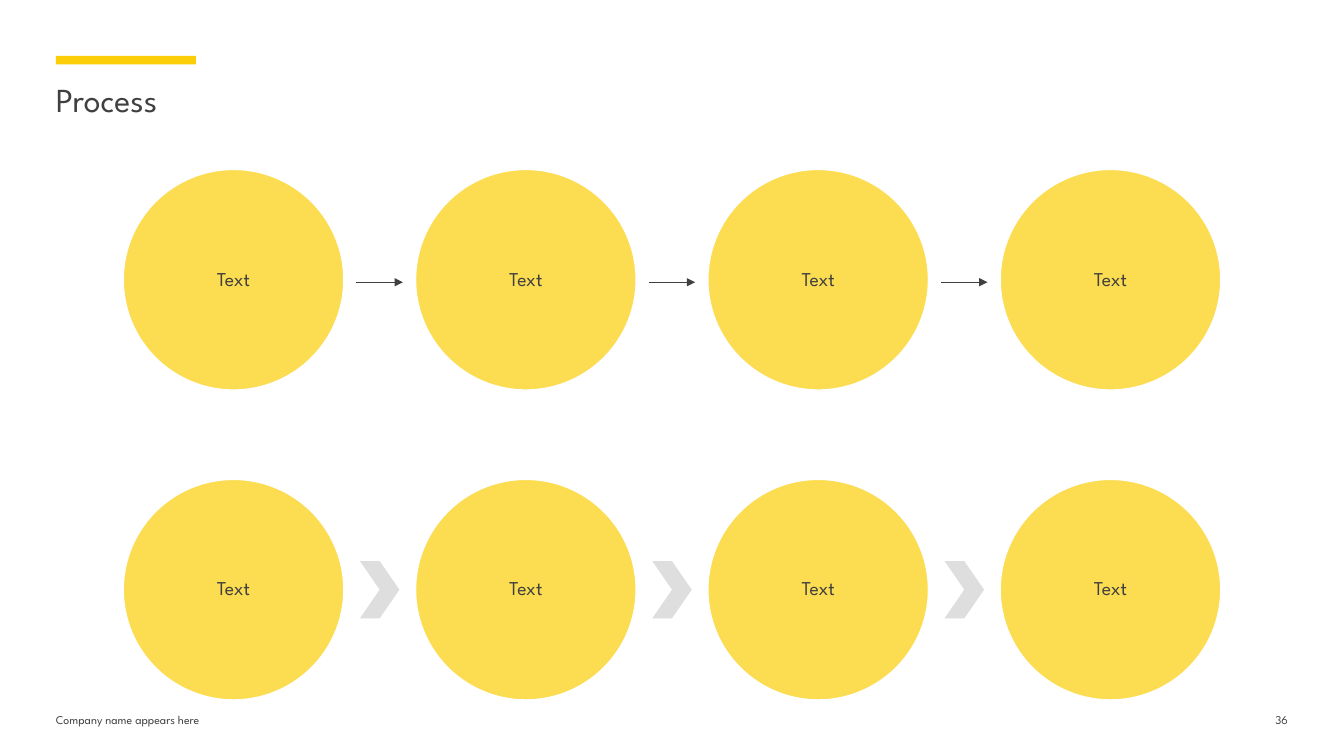
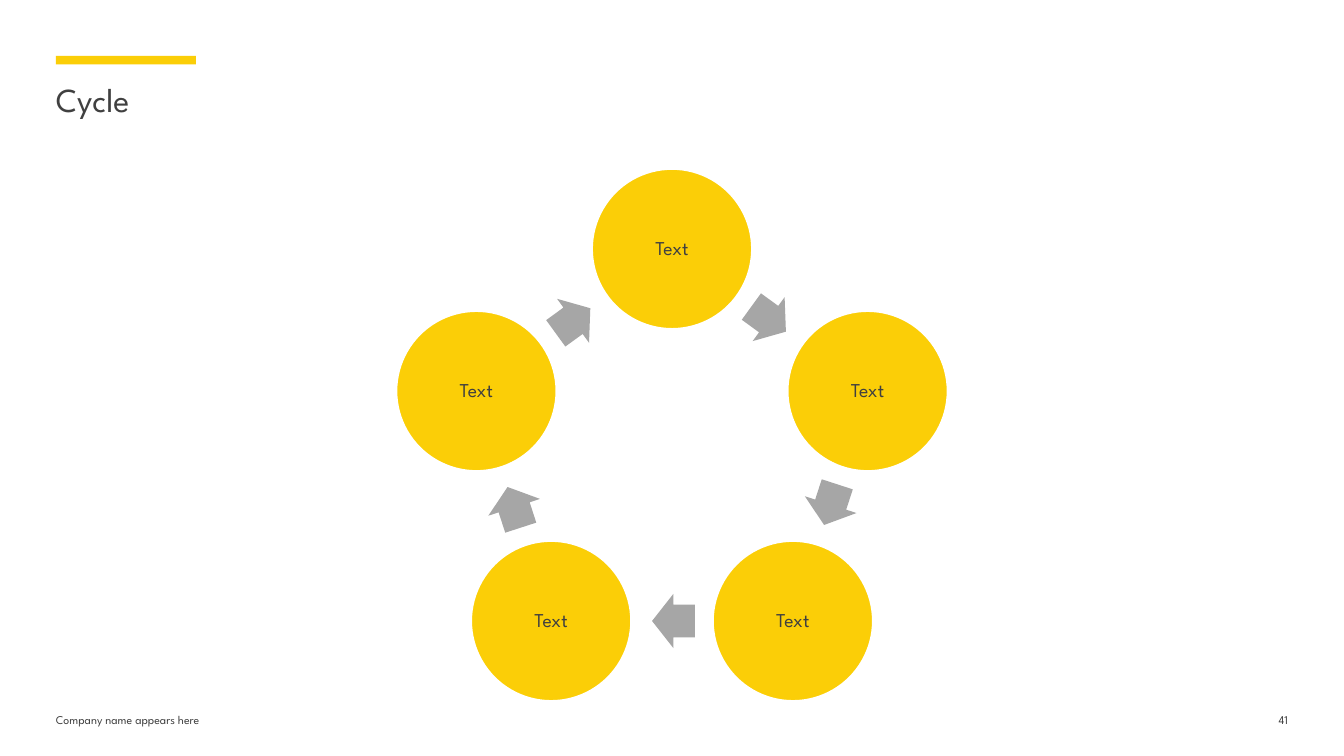
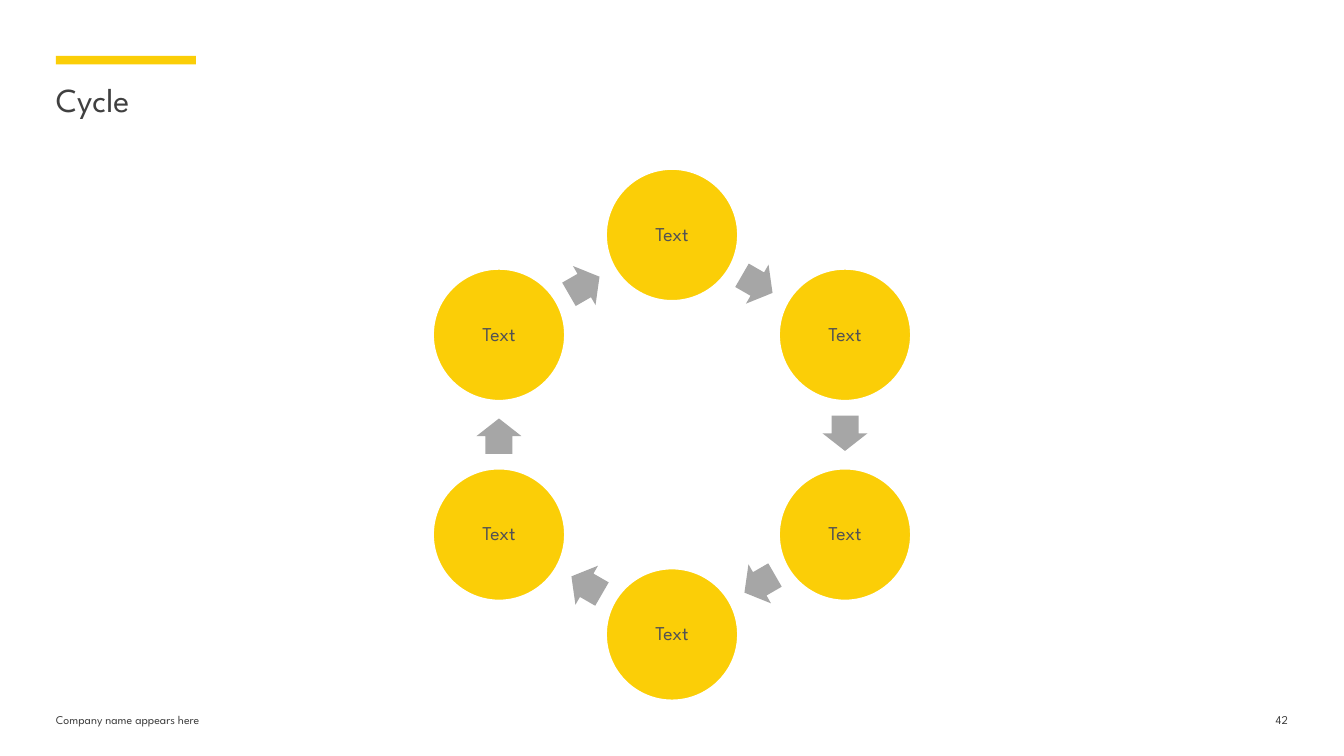
"""Build a process slide and two cycle slides."""
import math
from dataclasses import dataclass

from lxml import etree
from pptx import Presentation
from pptx import util as u
from pptx.dml.color import RGBColor
from pptx.enum import shapes, text
from pptx.oxml import ns

YELLOW = RGBColor(0xFB, 0xCE, 0x07)
DARK = RGBColor(0x40, 0x40, 0x40)
SOFT_DARK = RGBColor(0x53, 0x53, 0x53)
GREY = RGBColor(0xA6, 0xA6, 0xA6)
LIGHT_GREY = RGBColor(0xDE, 0xDE, 0xDE)
WHITE = RGBColor(0xFF, 0xFF, 0xFF)
FONT = "League Spartan"
SLIDE_WIDTH, SLIDE_HEIGHT = 960, 540
MARGIN = 40
STEP_COUNT, STEP_PITCH, STEP_DIAMETER = 4, 208.8, 158.6
FIRST_STEP_X = SLIDE_WIDTH / 2 - STEP_PITCH * (STEP_COUNT - 1) / 2
ARROW_ROW_Y, CHEVRON_ROW_Y = 199.8, 421.2
ARROW_DROP, ARROW_HALF_LENGTH = 1.8, 16.6
CYCLE_ARROW_LAG = 1


@dataclass(frozen=True)
class Box:
    left: float
    top: float
    width: float
    height: float

    @classmethod
    def centred(cls, x: float, y: float, width: float, height: float) -> "Box":
        return cls(x - width / 2, y - height / 2, width, height)

    def lengths(self) -> tuple:
        return tuple(u.Pt(value) for value in (self.left, self.top, self.width, self.height))


@dataclass(frozen=True)
class Cycle:
    page: str
    count: int
    centre_y: float
    radius: float
    diameter: float
    arrow_width: float
    arrow_height: float
    text_color: RGBColor


CYCLES = (
    Cycle("41", 5, 324.7, 146.9, 115, 30.5, 38.8, DARK),
    Cycle("42", 6, 310.5, 142.7, 95, 25.2, 32.2, SOFT_DARK),
)


def write(shape, words: str, size: float, color: RGBColor, align=text.PP_ALIGN.LEFT) -> None:
    frame = shape.text_frame
    frame.word_wrap = True
    frame.margin_left = frame.margin_right = frame.margin_top = frame.margin_bottom = 0
    frame.text = words
    paragraph = frame.paragraphs[0]
    paragraph.alignment = align
    font = paragraph.runs[0].font
    font.name, font.size, font.color.rgb = FONT, u.Pt(size), color


def add_text(slide, box: Box, words: str, size: float, align=text.PP_ALIGN.LEFT) -> None:
    write(slide.shapes.add_textbox(*box.lengths()), words, size, DARK, align)


def add_filled(slide, kind, box: Box, color: RGBColor):
    shape = slide.shapes.add_shape(kind, *box.lengths())
    shape.shadow.inherit = False
    shape.fill.solid()
    shape.fill.fore_color.rgb = color
    shape.line.fill.background()
    return shape


def add_circle(slide, x: float, y: float, diameter: float, color: RGBColor, opacity: int = 100) -> None:
    circle = add_filled(slide, shapes.MSO_SHAPE.OVAL, Box.centred(x, y, diameter, diameter), YELLOW)
    circle.line.color.rgb = WHITE
    circle.line.width = u.Pt(2)
    if opacity < 100:
        fill_color = circle.fill._xPr.find(ns.qn("a:solidFill"))[0]
        etree.SubElement(fill_color, ns.qn("a:alpha"), val=str(opacity * 1000))
    write(circle, "Text", 14, color, text.PP_ALIGN.CENTER)
    circle.text_frame.vertical_anchor = text.MSO_ANCHOR.MIDDLE
    circle.text_frame.paragraphs[0].line_spacing = 0.9


def add_arrow_line(slide, x: float, y: float) -> None:
    start, end = x - ARROW_HALF_LENGTH, x + ARROW_HALF_LENGTH
    arrow = slide.shapes.add_connector(
        shapes.MSO_CONNECTOR.STRAIGHT, u.Pt(start), u.Pt(y), u.Pt(end), u.Pt(y))
    arrow.line.color.rgb = DARK
    arrow.line.width = u.Pt(0.75)
    etree.SubElement(arrow.line._get_or_add_ln(), ns.qn("a:tailEnd"), type="triangle")
    etree.SubElement(arrow._element.spPr, ns.qn("a:effectLst"))


def add_page(presentation, title: str, page: str):
    slide = presentation.slides.add_slide(presentation.slide_layouts[6])
    add_filled(slide, shapes.MSO_SHAPE.RECTANGLE, Box(MARGIN, MARGIN, 100, 6), YELLOW)
    add_text(slide, Box(MARGIN, 56, 880, 59), title, 24)
    add_text(slide, Box(MARGIN, 509, 264, 19), "Company name appears here", 8.5)
    add_text(slide, Box(892, 509, 28, 19), page, 8.5, text.PP_ALIGN.RIGHT)
    return slide


def add_process(presentation) -> None:
    slide = add_page(presentation, "Process", "36")
    for row_y in (ARROW_ROW_Y, CHEVRON_ROW_Y):
        for step in range(STEP_COUNT):
            x = FIRST_STEP_X + step * STEP_PITCH
            add_circle(slide, x, row_y, STEP_DIAMETER, DARK, opacity=70)
            if step == STEP_COUNT - 1:
                continue
            gap_x = x + STEP_PITCH / 2
            if row_y == ARROW_ROW_Y:
                add_arrow_line(slide, gap_x, row_y + ARROW_DROP)
            else:
                add_filled(slide, shapes.MSO_SHAPE.CHEVRON,
                           Box.centred(gap_x, row_y, 28.2, 40.9), LIGHT_GREY)


def add_cycle(presentation, cycle: Cycle) -> None:
    slide = add_page(presentation, "Cycle", cycle.page)
    turn = 2 * math.pi / cycle.count
    middle_radius = cycle.radius * math.cos(turn / 2)
    for index in range(cycle.count):
        angle = index * turn
        add_circle(slide, SLIDE_WIDTH / 2 + cycle.radius * math.sin(angle),
                   cycle.centre_y - cycle.radius * math.cos(angle),
                   cycle.diameter, cycle.text_color)
        heading = angle + turn / 2
        x = SLIDE_WIDTH / 2 + middle_radius * math.sin(heading) - CYCLE_ARROW_LAG * math.cos(heading)
        y = cycle.centre_y - middle_radius * math.cos(heading) - CYCLE_ARROW_LAG * math.sin(heading)
        arrow = add_filled(slide, shapes.MSO_SHAPE.RIGHT_ARROW,
                           Box.centred(x, y, cycle.arrow_width, cycle.arrow_height), GREY)
        arrow.adjustments[0], arrow.adjustments[1] = 0.6, 0.5
        arrow.rotation = math.degrees(heading)


def main() -> None:
    presentation = Presentation()
    presentation.slide_width, presentation.slide_height = u.Pt(SLIDE_WIDTH), u.Pt(SLIDE_HEIGHT)
    add_process(presentation)
    for cycle in CYCLES:
        add_cycle(presentation, cycle)
    presentation.save("out.pptx")


if __name__ == "__main__":
    main()
